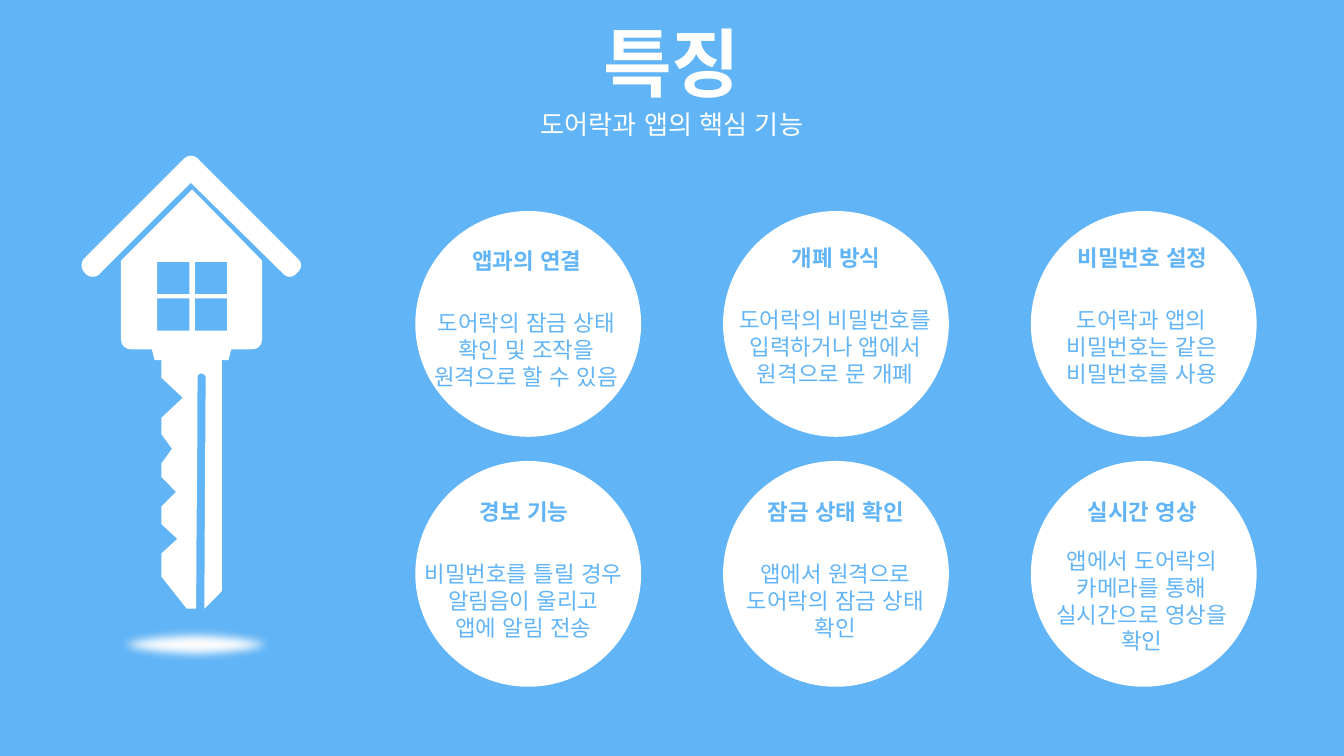
from lxml.etree import SubElement as Sub
from pptx import Presentation
from pptx.dml.color import RGBColor as Rgb
from pptx.enum.lang import MSO_LANGUAGE_ID as Lang
from pptx.enum.shapes import MSO_SHAPE as Kind
from pptx.enum.text import MSO_ANCHOR as Anchor, PP_ALIGN as Align
from pptx.oxml.ns import qn
from pptx.util import Inches, Pt

HUES = {"sky": "61B4F6", "white": "FFFFFF"}

# Heading, text, left and top of the group, drop to the text, text height
CARDS = [
    ("앱과의 연결", "도어락의 잠금 상태 확인 및 조작을 원격으로 할 수 있음", 3.01, 1.79, 0.46, 0.71),
    ("개폐 방식", "도어락의 비밀번호를 입력하거나 앱에서 원격으로 문 개폐", 5.31, 1.77, 0.46, 0.71),
    ("비밀번호 설정", "도어락과 앱의 비밀번호는 같은 비밀번호를 사용", 7.59, 1.77, 0.46, 0.71),
    ("잠금 상태 확인", "앱에서 원격으로 도어락의 잠금 상태 확인", 5.31, 3.66, 0.46, 0.71),
    ("경보 기능", "비밀번호를 틀릴 경우 알림음이 울리고\n앱에 알림 전송", 2.99, 3.66, 0.46, 0.71),
    ("실시간 영상", "앱에서 도어락의 카메라를 통해 실시간으로 영상을 확인", 7.59, 3.66, 0.36, 0.91),
]

# Two numbers make a line to a point, six make a Bezier curve
BLADE = [
    (1.2, 2.68), (1.65, 2.68), (1.65, 4.4), (1.52, 4.53), (1.53, 2.81),
    (1.53, 2.79, 1.51, 2.78, 1.5, 2.78), (1.48, 2.78, 1.47, 2.79, 1.47, 2.81),
    (1.47, 3.38, 1.46, 3.96, 1.46, 4.53), (1.39, 4.53), (1.2, 4.29),
    (1.2, 4.12), (1.32, 4.01), (1.2, 3.9), (1.2, 3.77), (1.31, 3.66),
    (1.2, 3.55), (1.2, 3.45), (1.28, 3.34), (1.2, 3.23), (1.2, 3.11),
    (1.36, 2.96), (1.2, 2.81),
]
HOUSE = [
    (1.43, 1.41), (1.95, 1.94), (1.95, 2.52), (1.95, 2.57, 1.92, 2.6, 1.87, 2.6),
    (1.72, 2.6), (1.7, 2.68), (1.15, 2.68), (1.13, 2.6), (0.98, 2.6),
    (0.93, 2.6, 0.9, 2.57, 0.9, 2.52), (0.9, 1.94),
]
ROOF = [
    (1.42, 1.16), (1.44, 1.16, 1.47, 1.17, 1.48, 1.19), (2.21, 1.92),
    (2.25, 1.95, 2.25, 2, 2.21, 2.03), (2.18, 2.07, 2.13, 2.07, 2.1, 2.03),
    (1.42, 1.36), (0.75, 2.03), (0.72, 2.07, 0.66, 2.07, 0.63, 2.03),
    (0.6, 2, 0.6, 1.95, 0.63, 1.92), (1.36, 1.19),
    (1.38, 1.17, 1.4, 1.16, 1.42, 1.16),
]
PANES = [
    [(x, y), (x, y + 0.24), (x + 0.24, y + 0.24), (x + 0.24, y)]
    for x in (1.17, 1.45) for y in (1.95, 2.22)
]


def trace(steps, count=8):
    """Turn lines and curves into a list of points in EMU."""
    dots = []
    for step in steps:
        if len(step) == 2:
            dots.append(step)
            continue
        ends = [dots[-1], step[:2], step[2:4], step[4:]]
        for i in range(1, count + 1):
            t = i / count
            u = 1 - t
            mix = (u ** 3, 3 * u * u * t, 3 * u * t * t, t ** 3)
            dots.append(tuple(sum(m * p[k] for m, p in zip(mix, ends)) for k in (0, 1)))
    return [(Inches(x), Inches(y)) for x, y in dots]


class Deck:
    def __init__(self, font="Arial"):
        self.font = font
        self.show = Presentation()
        self.show.slide_width, self.show.slide_height = Inches(10), Inches(10 * 9 / 16)
        self.page = self.show.slides.add_slide(self.show.slide_layouts[6])
        self.paint(self.page.background.fill, "sky")

    def paint(self, fill, hue):
        fill.solid()
        fill.fore_color.rgb = Rgb.from_string(HUES[hue])

    def plain(self, shape):
        self.paint(shape.fill, "white")
        shape.line.fill.background()
        shape.shadow.inherit = False
        return shape

    def oval(self, *box):
        return self.plain(self.page.shapes.add_shape(Kind.OVAL, *map(Inches, box)))

    def glow(self, *box, soft=5):
        """Add an oval whose edge fades out over the given points."""
        props = self.oval(*box).element.spPr
        Sub(props.find(qn("a:effectLst")), qn("a:softEdge"), rad=str(Pt(soft)))

    def outline(self, loops):
        """Join closed loops into one shape; loops inside others are holes."""
        pen = None
        for dots in map(trace, loops):
            if pen is None:
                pen = self.page.shapes.build_freeform(*dots[0])
            else:
                pen.move_to(*dots[0])
            pen.add_line_segments(dots[1:], close=True)
        self.plain(pen.convert_to_shape())

    def text(self, words, box, size=12, hue="sky", bold=False, anchor=Anchor.TOP):
        frame = self.page.shapes.add_textbox(*map(Inches, box)).text_frame
        frame.word_wrap = True
        frame.vertical_anchor = anchor
        frame.text = words
        for para in frame.paragraphs:
            para.alignment = Align.CENTER
            for run in para.runs:
                font = run.font
                font.name, font.size, font.bold = self.font, Pt(size), bold
                font.language_id = Lang.KOREAN
                font.color.rgb = Rgb.from_string(HUES[hue])

    def card(self, head, body, left, top, drop, high):
        self.text(body, (left, top + drop, 1.81, high))
        self.text(head, (left + 0.25, top, 1.32, 0.3), bold=True)


def main():
    deck = Deck()
    for top in (1.57, 3.43):
        for col in range(3):
            deck.oval(3.09 + 2.29 * col, top, 1.68, 1.68)
    deck.text("특징", (0, 0.14, 10, 0.63), 40, "white", True, Anchor.MIDDLE)
    deck.text("도어락과 앱의 핵심 기능", (0, 0.77, 10, 0.31), 14, "white", anchor=Anchor.MIDDLE)
    for card in CARDS:
        deck.card(*card)
    deck.glow(0.77, 4.66, 1.37, 0.27)
    deck.outline([BLADE, *PANES, HOUSE, ROOF])
    deck.show.save("out.pptx")


if __name__ == "__main__":
    main()
